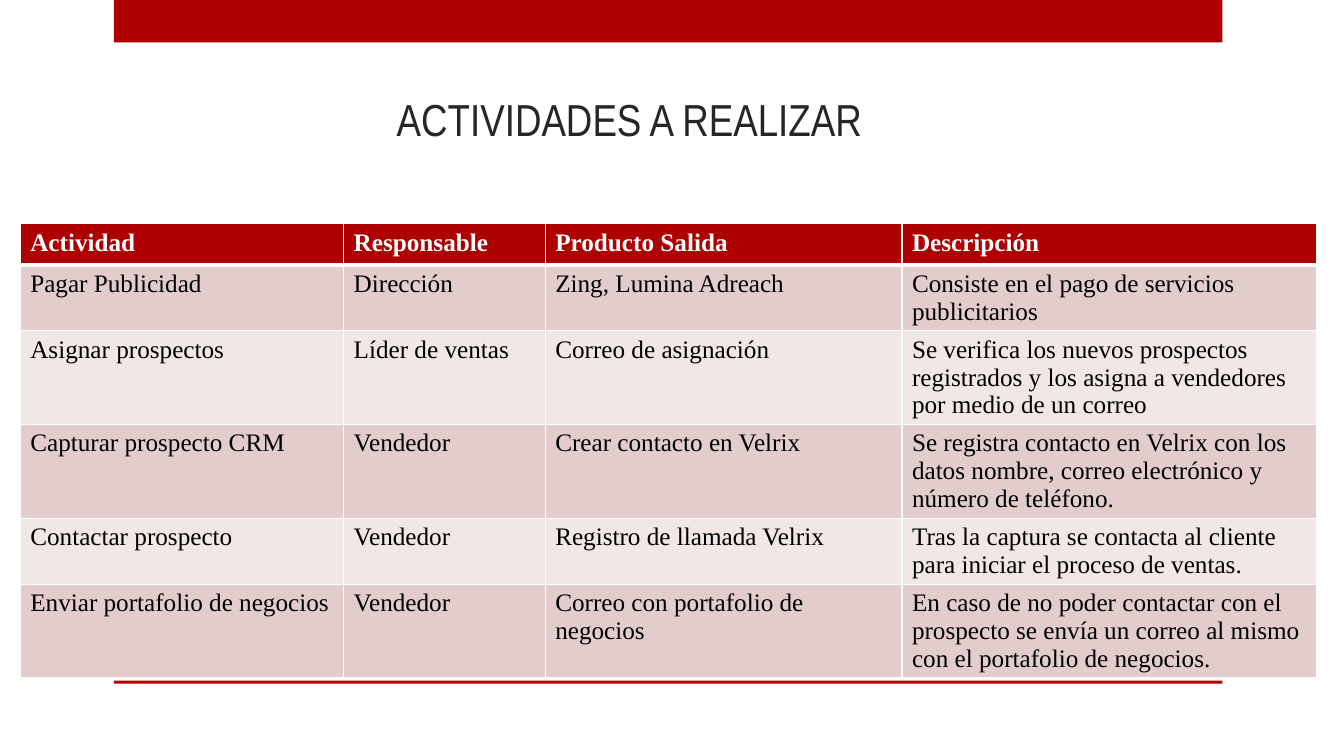
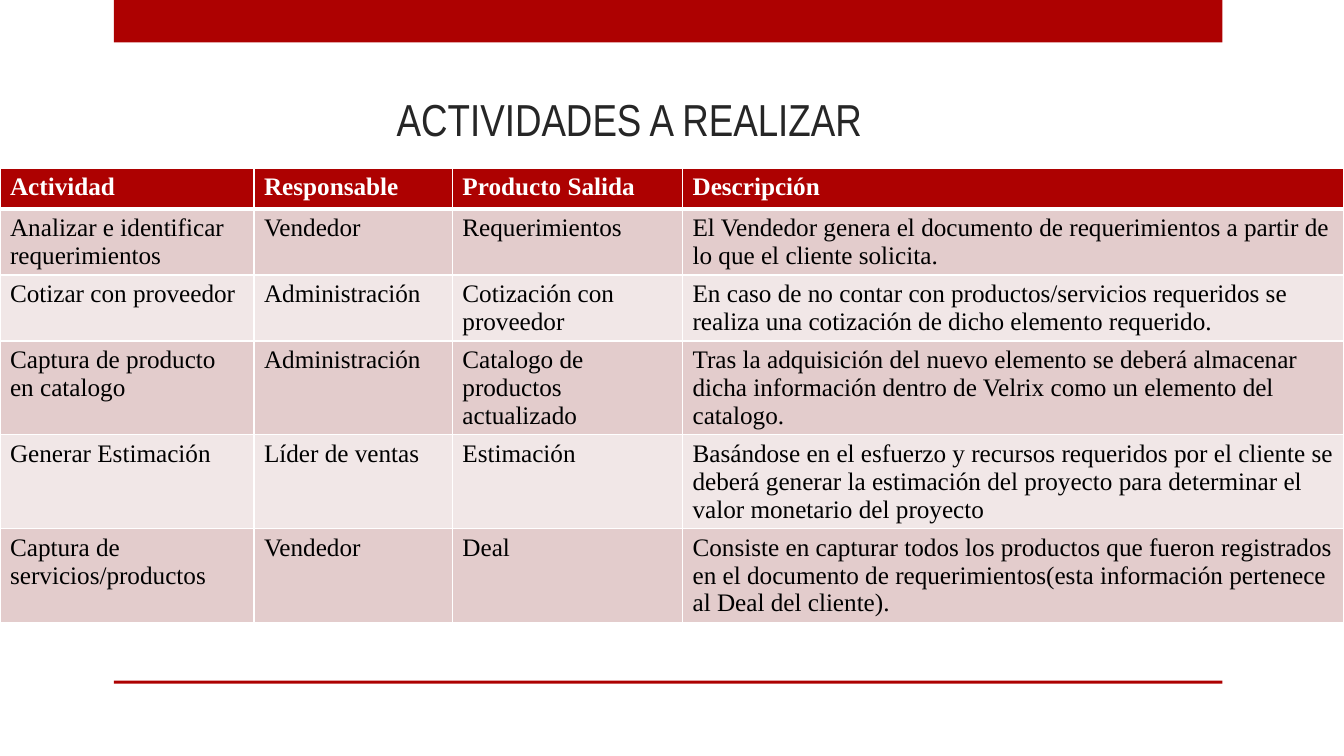
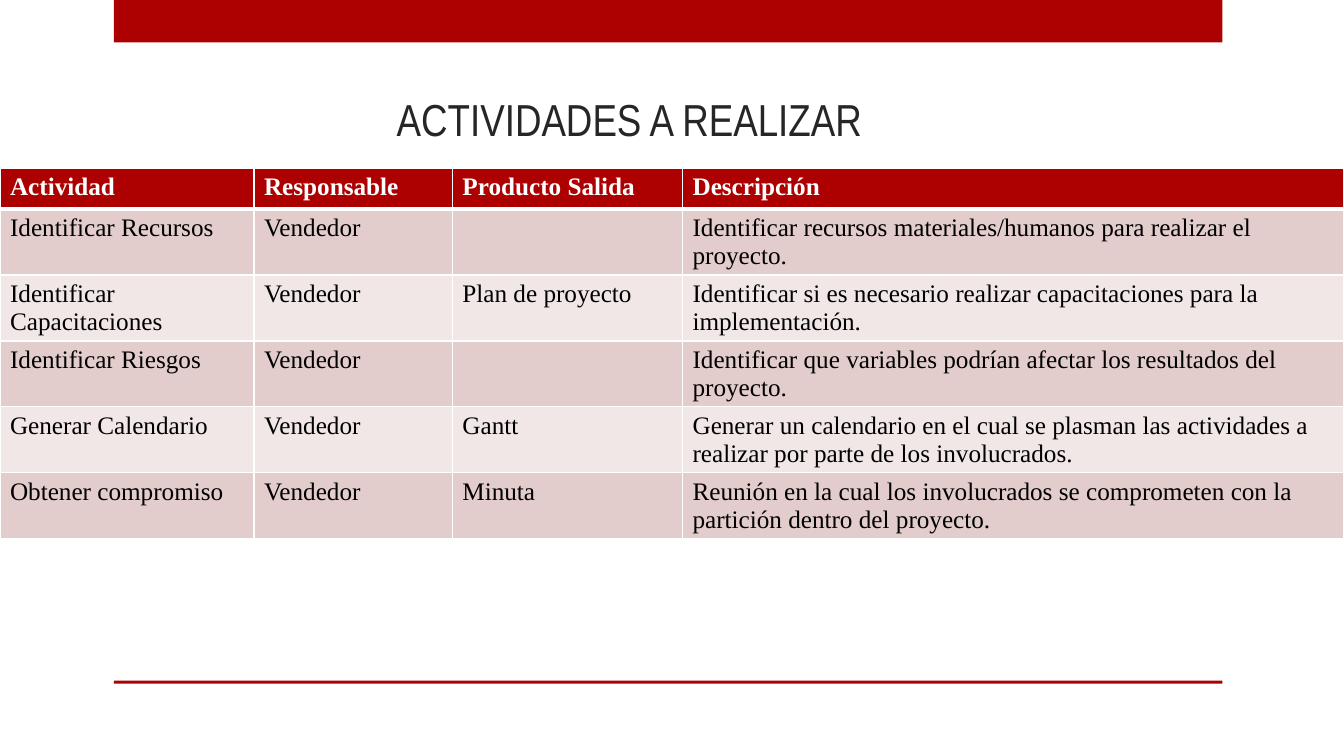
import pptx
import pptx.dml.color
import pptx.enum.shapes
import pptx.enum.text
import pptx.oxml
import pptx.oxml.ns
import pptx.util

Cm = pptx.util.Cm
Pt = pptx.util.Pt
RGBColor = pptx.dml.color.RGBColor

RED = RGBColor(0xAD, 0x01, 0x01)
DARK_GREY = RGBColor(0x26, 0x26, 0x26)
BLACK = RGBColor(0x00, 0x00, 0x00)
WHITE = RGBColor(0xFF, 0xFF, 0xFF)
BAND_COLORS = (RGBColor(0xE3, 0xCC, 0xCC), RGBColor(0xF1, 0xE7, 0xE7))

TITLE = "ACTIVIDADES A REALIZAR"
HEADER = ("Actividad", "Responsable", "Producto Salida", "Descripción")

# Table layouts: left, top and column widths in centimetres
INSET_TABLE = (0.51, 5.64, (8.15, 5.08, 8.99, 10.44))
FULL_WIDTH_TABLE = (0, 4.24, (6.4, 5, 5.8, 16.67))

SLIDES = (
    (INSET_TABLE, (
        ("Pagar Publicidad", "Dirección", "Zing, Lumina Adreach",
         "Consiste en el pago de servicios publicitarios"),
        ("Asignar prospectos", "Líder de ventas", "Correo de asignación",
         "Se verifica los nuevos prospectos registrados y los asigna a "
         "vendedores por medio de un correo"),
        ("Capturar prospecto CRM", "Vendedor", "Crear contacto en Velrix",
         "Se registra contacto en Velrix con los datos nombre, correo "
         "electrónico y número de teléfono."),
        ("Contactar prospecto", "Vendedor", "Registro de llamada Velrix",
         "Tras la captura se contacta al cliente para iniciar el proceso "
         "de ventas."),
        ("Enviar portafolio de negocios", "Vendedor",
         "Correo con portafolio de negocios",
         "En caso de no poder contactar con el prospecto se envía un correo "
         "al mismo con el portafolio de negocios."),
    )),
    (FULL_WIDTH_TABLE, (
        ("Analizar e identificar requerimientos", "Vendedor", "Requerimientos",
         "El Vendedor genera el documento de requerimientos a partir de lo "
         "que el cliente solicita."),
        ("Cotizar con proveedor", "Administración", "Cotización con proveedor",
         "En caso de no contar con productos/servicios requeridos se realiza "
         "una cotización de dicho elemento requerido."),
        ("Captura de producto en catalogo", "Administración",
         "Catalogo de productos actualizado",
         "Tras la adquisición del nuevo elemento se deberá almacenar dicha "
         "información dentro de Velrix como un elemento del catalogo."),
        ("Generar Estimación", "Líder de ventas", "Estimación",
         "Basándose en el esfuerzo y recursos requeridos por el cliente se "
         "deberá generar la estimación del proyecto para determinar el valor "
         "monetario del proyecto"),
        ("Captura de servicios/productos", "Vendedor", "Deal",
         "Consiste en capturar todos los productos que fueron registrados en "
         "el documento de requerimientos(esta información pertenece al Deal "
         "del cliente)."),
    )),
    (FULL_WIDTH_TABLE, (
        ("Identificar Recursos", "Vendedor", "",
         "Identificar recursos materiales/humanos para realizar el proyecto."),
        ("Identificar Capacitaciones", "Vendedor", "Plan de proyecto",
         "Identificar si es necesario realizar capacitaciones para la "
         "implementación."),
        ("Identificar Riesgos", "Vendedor", "",
         "Identificar que variables podrían afectar los resultados del "
         "proyecto."),
        ("Generar Calendario", "Vendedor", "Gantt",
         "Generar un calendario en el cual se plasman las actividades a "
         "realizar por parte de los involucrados."),
        ("Obtener compromiso", "Vendedor", "Minuta",
         "Reunión en la cual los involucrados se comprometen con la partición "
         "dentro del proyecto."),
    )),
)


class Deck:
    """Holds the shared style and the current slide."""

    title_font = "Arial Narrow"
    table_font = "Times New Roman"
    row_height = Cm(1.03)
    thin_border = Pt(1)
    thick_border = Pt(3)

    def __init__(self):
        self.presentation = pptx.Presentation()
        self.presentation.slide_width = Cm(33.87)
        self.presentation.slide_height = Cm(19.05)
        self.slide = None

    def add_slide(self, title):
        layout = self.presentation.slide_layouts.get_by_name("Title Only")
        self.slide = self.presentation.slides.add_slide(layout)
        self.add_band(top=0, height=1.07)
        self.add_band(top=17.15, height=0.08)
        self.set_title(title)

    def add_band(self, top, height):
        band = self.slide.shapes.add_shape(
            pptx.enum.shapes.MSO_SHAPE.RECTANGLE,
            Cm(2.87), Cm(top), Cm(27.94), Cm(height))
        band.shadow.inherit = False
        band.fill.solid()
        band.fill.fore_color.rgb = RED
        band.line.fill.background()

    def set_title(self, text):
        title = self.slide.shapes.title
        title.left, title.top = Cm(1.9), Cm(1.9)
        title.width, title.height = Cm(27.94), Cm(2.18)
        frame = title.text_frame
        frame.text = text
        frame.auto_size = pptx.enum.text.MSO_AUTO_SIZE.NONE
        frame.vertical_anchor = pptx.enum.text.MSO_ANCHOR.MIDDLE
        paragraph = frame.paragraphs[0]
        paragraph.alignment = pptx.enum.text.PP_ALIGN.CENTER
        self.format_runs(paragraph, self.title_font, 32, DARK_GREY, False)

    def add_table(self, table_layout, rows):
        left, top, widths = table_layout
        table = self.slide.shapes.add_table(
            len(rows), len(widths), Cm(left), Cm(top),
            Cm(sum(widths)), self.row_height * len(rows)).table
        for column, width in zip(table.columns, widths):
            column.width = Cm(width)
        for row_index, texts in enumerate(rows):
            table.rows[row_index].height = self.row_height
            for column_index, text in enumerate(texts):
                self.fill_cell(table.cell(row_index, column_index), text, row_index)

    def fill_cell(self, cell, text, row_index):
        is_header = row_index == 0
        # The thick rule lies between the header and the first body row
        self.set_border(cell, "L", self.thin_border)
        self.set_border(cell, "R", self.thin_border)
        self.set_border(cell, "T", self.thick_border if row_index == 1 else self.thin_border)
        self.set_border(cell, "B", self.thick_border if is_header else self.thin_border)
        cell.fill.solid()
        cell.fill.fore_color.rgb = RED if is_header else BAND_COLORS[(row_index - 1) % 2]
        cell.text_frame.text = text
        self.format_runs(cell.text_frame.paragraphs[0], self.table_font, 18,
                         WHITE if is_header else BLACK, is_header)

    @staticmethod
    def set_border(cell, side, width):
        properties = cell._tc.get_or_add_tcPr()
        properties.append(pptx.oxml.parse_xml(
            f'<a:ln{side} {pptx.oxml.ns.nsdecls("a")} w="{width}">'
            f'<a:solidFill><a:srgbClr val="{WHITE}"/></a:solidFill>'
            f'</a:ln{side}>'))

    @staticmethod
    def format_runs(paragraph, font_name, size, color, bold):
        for run in paragraph.runs:
            run.font.name = font_name
            run.font.size = Pt(size)
            run.font.color.rgb = color
            run.font.bold = bold


def main():
    deck = Deck()
    for table_layout, activities in SLIDES:
        deck.add_slide(TITLE)
        deck.add_table(table_layout, (HEADER, *activities))
    deck.presentation.save("out.pptx")


if __name__ == "__main__":
    main()
